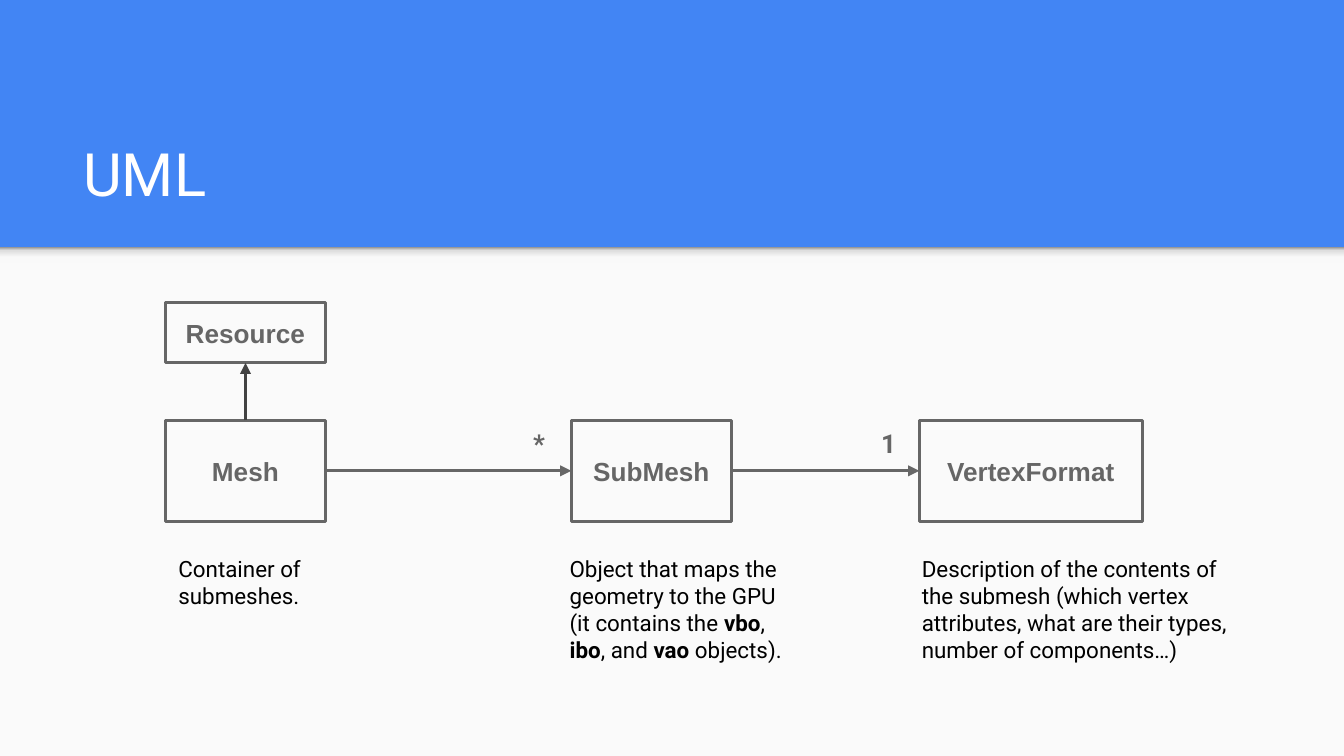
from lxml import etree
from pptx import Presentation
from pptx.dml.color import RGBColor
from pptx.enum.shapes import MSO_CONNECTOR, MSO_SHAPE
from pptx.enum.text import MSO_ANCHOR, PP_ALIGN
from pptx.oxml.ns import qn
from pptx.util import Pt

RECTANGLE = MSO_SHAPE.RECTANGLE
STRAIGHT = MSO_CONNECTOR.STRAIGHT
TOP, MIDDLE, BOTTOM = MSO_ANCHOR.TOP, MSO_ANCHOR.MIDDLE, MSO_ANCHOR.BOTTOM
CENTER = PP_ALIGN.CENTER

BLUE = RGBColor(0x42, 0x85, 0xF4)
PAPER = RGBColor(0xFA, 0xFA, 0xFA)
WHITE = RGBColor(0xFF, 0xFF, 0xFF)
BLACK = RGBColor(0, 0, 0)
GREY = RGBColor(0x66, 0x66, 0x66)
DARK_GREY = RGBColor(0x42, 0x42, 0x42)
SHADOW_STOPS = [(0, "F9F9F9"), (36, "F9F9F9"), (80, "DEDEDE"), (100, "999999")]

WIDTH, HEIGHT = 720, 405
HEADER_HEIGHT = 132.5
INSET = 7.2


def write(shape, runs, size, font, color, bold=None, anchor=TOP, align=None):
    """Fill a shape with one paragraph; runs are (text, bold) pairs."""
    frame = shape.text_frame
    frame.word_wrap = True
    frame.vertical_anchor = anchor
    frame.margin_left = frame.margin_right = Pt(INSET)
    frame.margin_top = frame.margin_bottom = Pt(INSET)
    paragraph = frame.paragraphs[0]
    paragraph.alignment = align
    paragraph.font.size = Pt(size)
    paragraph.font.name = font
    paragraph.font.color.rgb = color
    paragraph.font.bold = bold
    for text, run_bold in runs:
        run = paragraph.add_run()
        run.text = text
        if run_bold:
            run.font.bold = True


def add_text(slide, box, runs, size, color, **style):
    shape = slide.shapes.add_textbox(*map(Pt, box))
    write(shape, runs, size, "Roboto", color, **style)


def add_rectangle(slide, box):
    shape = slide.shapes.add_shape(RECTANGLE, *map(Pt, box))
    shape.shadow.inherit = False
    return shape


def add_class(slide, box, name):
    shape = add_rectangle(slide, box)
    shape.fill.background()
    shape.line.color.rgb = GREY
    shape.line.width = Pt(1.5)
    write(shape, [(name, False)], 14, "Arial", GREY, True, MIDDLE, CENTER)


def add_arrow(slide, start, end, color):
    connector = slide.shapes.add_connector(STRAIGHT, *map(Pt, start + end))
    connector.line.color.rgb = color
    connector.line.width = Pt(1.5)
    line = connector.line._get_or_add_ln()
    etree.SubElement(line, qn("a:tailEnd"), type="triangle")
    etree.SubElement(connector._element.spPr, qn("a:effectLst"))


def add_body_panel(slide, box):
    """Light panel with a soft shadow strip along its top edge."""
    left, top, width, height = box
    panel = add_rectangle(slide, box)
    panel.fill.solid()
    panel.fill.fore_color.rgb = PAPER
    panel.line.fill.background()

    strip = add_rectangle(slide, (left, top, width, 8.6))
    strip.line.fill.background()
    strip.fill.gradient()
    strip.fill.gradient_angle = 90
    stops = strip._element.spPr.find(qn("a:gradFill")).find(qn("a:gsLst"))
    for stop in list(stops):
        stops.remove(stop)
    for position, color in SHADOW_STOPS:
        stop = etree.SubElement(stops, qn("a:gs"), pos=str(position * 1000))
        etree.SubElement(stop, qn("a:srgbClr"), val=color)


def add_header(slide, box):
    left, top, width, height = box
    title_box = (left + 37.5, top + 58.3, width - 73, 60.5)
    add_text(slide, title_box, [("UML", False)], 32, WHITE, anchor=BOTTOM)


def add_diagram(slide, box):
    left, top, width, height = box
    row_top, row_height = top + 63.25, 54
    middle = row_top + row_height / 2

    # Classes: name, offset, width
    classes = [("Mesh", 0, 86), ("SubMesh", 217.5, 86), ("VertexFormat", 404, 119.5)]
    for name, offset, class_width in classes:
        add_class(slide, (left + offset, row_top, class_width, row_height), name)

    # Associations with their multiplicity
    for source, target, count in zip(classes, classes[1:], "*1"):
        start = left + source[1] + source[2]
        end = left + target[1]
        add_arrow(slide, (start, middle), (end, middle), GREY)
        add_text(slide, (end - 27.5, row_top - 3.6, 22.3, 32.4),
                 [(count, False)], 14, GREY, bold=True)

    # Parent class and inheritance
    parent_height = 32.4
    center = left + 43
    add_class(slide, (left, top, 86, parent_height), "Resource")
    add_arrow(slide, (center, row_top), (center, top + parent_height), DARK_GREY)

    # Descriptions: offset, width, runs
    descriptions = [
        (0, 134.6, [("Container of submeshes.", False)]),
        (209.6, 134.6, [
            ("Object that maps the geometry to the GPU (it contains the ", False),
            ("vbo", True), (", ", False), ("ibo", True), (", and ", False),
            ("vao ", True), ("objects).", False)]),
        (398.2, 185.8, [
            ("Description of the contents of the submesh (which vertex "
             "attributes, what are their types, number of components…)", False)]),
    ]
    for offset, text_width, runs in descriptions:
        add_text(slide, (left + offset, top + 128.2, text_width, 85.7),
                 runs, 12, BLACK)


def main():
    presentation = Presentation()
    presentation.slide_width, presentation.slide_height = Pt(WIDTH), Pt(HEIGHT)
    slide = presentation.slides.add_slide(presentation.slide_layouts[6])
    slide.background.fill.solid()
    slide.background.fill.fore_color.rgb = BLUE

    add_body_panel(slide, (0, HEADER_HEIGHT, WIDTH, HEIGHT - HEADER_HEIGHT))
    add_header(slide, (0, 0, WIDTH, HEADER_HEIGHT))
    add_diagram(slide, (88.5, 162, 584, 213.9))
    presentation.save("out.pptx")


if __name__ == "__main__":
    main()
